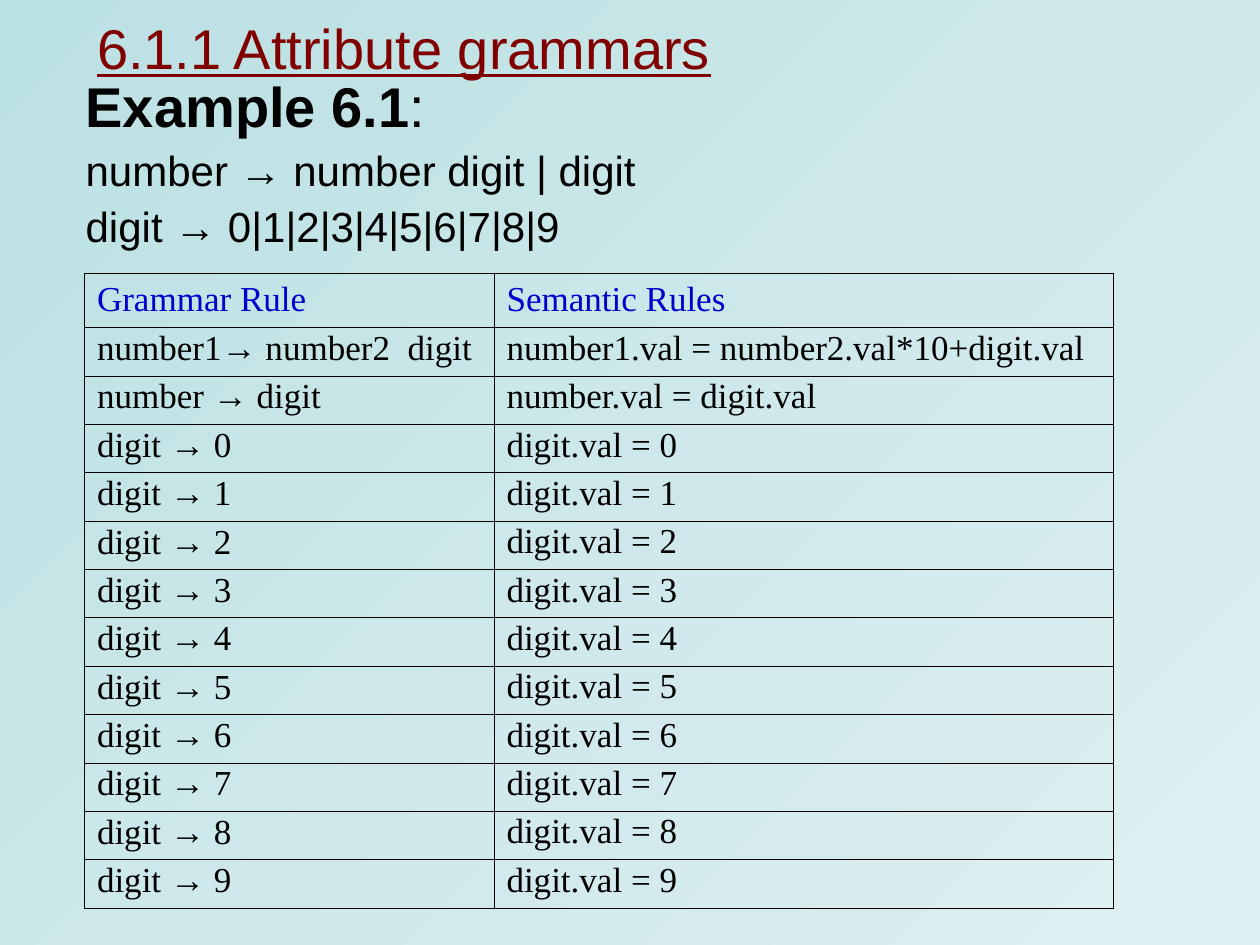
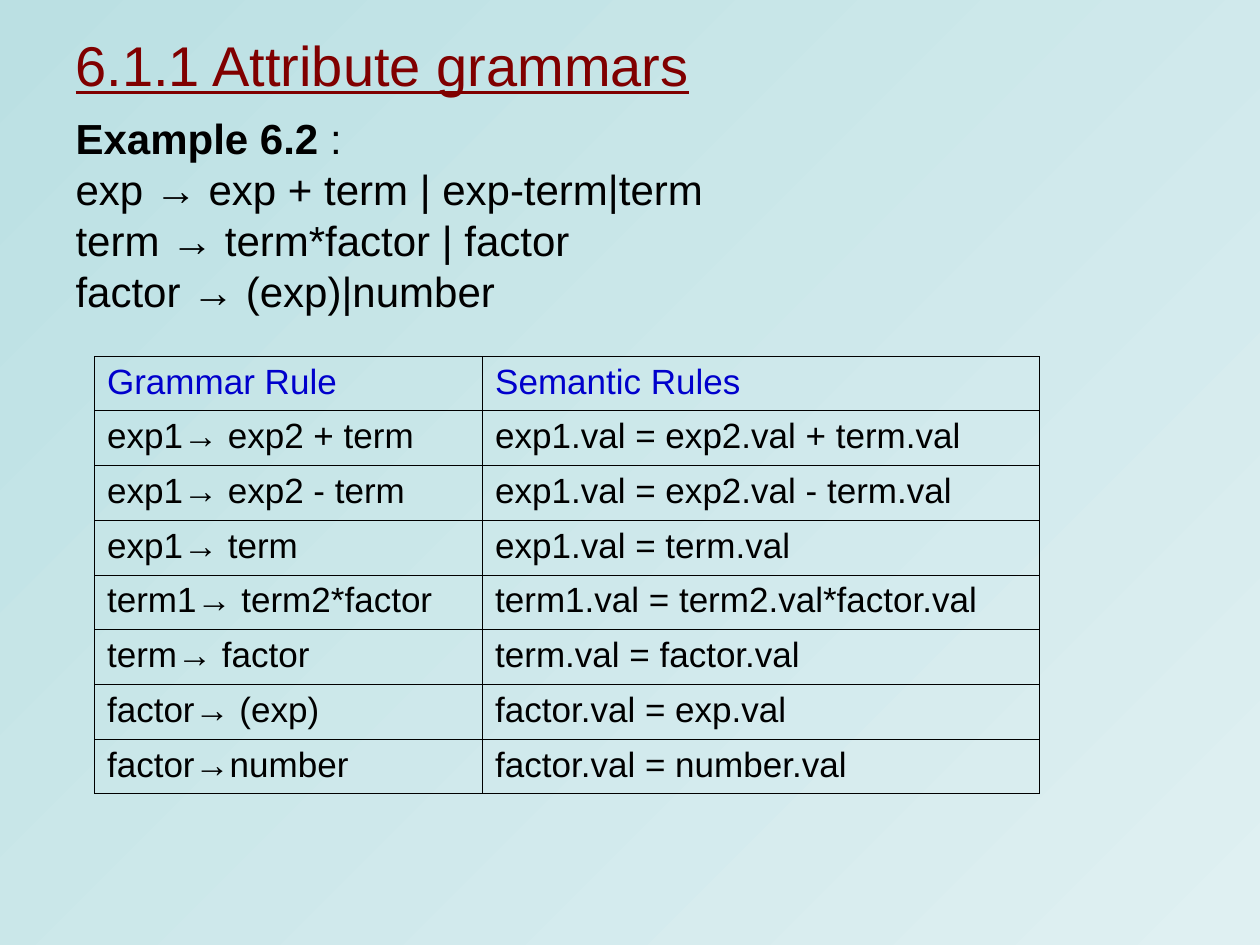
from lxml.etree import SubElement
from pptx import Presentation
from pptx.dml.color import RGBColor
from pptx.enum.text import MSO_ANCHOR, MSO_AUTO_SIZE, PP_ALIGN
from pptx.oxml.ns import qn
from pptx.util import Inches, Pt

# Shared look
HUES = {"start": "BBE0E3", "end": "DFF0F2", "title": "800000",
        "head": "0000CC", "text": "000000"}
SANS, SERIF = "Arial", "Times New Roman"
ARROW = "→"
TITLE = "6.1.1 Attribute grammars"
HEADS = ("Grammar Rule", "Semantic Rules")

# Content: boxes are left, top, width, height in inches
PAGES = [
    {
        "title box": (0.67, 0, 9.33, 0.75),
        "body box": (0.58, 0.58, 7.25, 1.5),
        "label": ("Example 6.1", ":"), "label size": 32, "label gap": 8,
        "lines": [("number → number digit | digit", PP_ALIGN.LEFT),
                  ("digit → 0|1|2|3|4|5|6|7|8|9", PP_ALIGN.LEFT)],
        "pitch": 0.9,
        "table box": (0.67, 2.17, 8.17, 5.04),
        "split": 3.25, "head": 0.43, "font": SERIF, "row pitch": 0.85,
        "rules": [("number1→ number2  digit",
                   "number1.val = number2.val*10+digit.val"),
                  ("number → digit", "number.val = digit.val")]
                 + [(f"digit → {n}", f"digit.val = {n}") for n in range(10)],
    },
    {
        "title box": (0.5, 0.17, 9.33, 0.67),
        "body box": (0.5, 0.92, 8.58, 1.67),
        "label": ("Example 6.2", " :"), "label size": 24, "label gap": 6,
        "lines": [("exp → exp + term | exp-term|term", PP_ALIGN.JUSTIFY),
                  ("term → term*factor | factor", PP_ALIGN.JUSTIFY),
                  ("factor → (exp)|number", PP_ALIGN.LEFT)],
        "pitch": 0.8,
        "table box": (0.75, 2.83, 7.5, 3.47),
        "split": 3.08, "head": 0.43, "font": SANS, "row pitch": None,
        "rules": [("exp1→ exp2 + term", "exp1.val = exp2.val + term.val"),
                  ("exp1→ exp2 - term", "exp1.val = exp2.val - term.val"),
                  ("exp1→ term", "exp1.val = term.val"),
                  ("term1→ term2*factor", "term1.val = term2.val*factor.val"),
                  ("term→ factor", "term.val = factor.val"),
                  ("factor→ (exp)", "factor.val = exp.val"),
                  ("factor→number", "factor.val = number.val")],
    },
]


def style(run, size, hue="text", font=SANS, bold=False):
    run.font.size = Pt(size)
    run.font.name = font
    run.font.bold = bold
    run.font.color.rgb = RGBColor.from_string(HUES[hue])


def place(shape, box):
    shape.left, shape.top, shape.width, shape.height = map(Inches, box)
    shape.text_frame.auto_size = MSO_AUTO_SIZE.NONE


def paint(master):
    """Give every slide the diagonal gradient."""
    fill = master.background.fill
    fill.gradient()
    fill.gradient_angle = 315
    for stop, hue in zip(fill.gradient_stops, ("start", "end")):
        stop.color.rgb = RGBColor.from_string(HUES[hue])


def add_title(slide, page):
    title = slide.shapes.title
    place(title, page["title box"])
    frame = title.text_frame
    frame.text = TITLE
    frame.vertical_anchor = MSO_ANCHOR.MIDDLE
    para = frame.paragraphs[0]
    para.alignment = PP_ALIGN.LEFT
    style(para.runs[0], 32, "title")
    para.runs[0].font.underline = True


def add_body(slide, page):
    body = slide.placeholders[1]
    place(body, page["body box"])
    frame = body.text_frame
    name, mark = page["label"]
    frame.text = "\n".join([name] + [text for text, _ in page["lines"]])
    label, *lines = frame.paragraphs

    for para in frame.paragraphs:
        para.line_spacing = page["pitch"]
        para.space_before = Pt(6)
        props = para._p.get_or_add_pPr()
        props.set("marL", str(Inches(0.5)))
        props.set("indent", str(Inches(-0.5)))
        SubElement(props, qn("a:buNone"))
    for para, (_, side) in zip(lines, page["lines"]):
        para.alignment = side
        style(para.runs[0], 24)

    label.space_before = Pt(page["label gap"])
    style(label.runs[0], page["label size"], bold=True)
    tail = label.add_run()
    tail.text = mark
    style(tail, page["label size"])


def frame_cell(cell):
    """Draw thin borders round a clear cell."""
    props = cell._tc.get_or_add_tcPr()
    for side in ("lnL", "lnR", "lnT", "lnB"):
        line = SubElement(props, qn(f"a:{side}"), w=str(Pt(0.45)))
        fill = SubElement(line, qn("a:solidFill"))
        SubElement(fill, qn("a:srgbClr"), val=HUES["text"])
    cell.fill.background()


def fill_cell(cell, text, hue, font, pitch):
    """Write the text, keeping each arrow in the sans font."""
    para = cell.text_frame.paragraphs[0]
    para.line_spacing = pitch
    left, arrow, right = text.partition(ARROW)
    for part in filter(None, (left, arrow, right)):
        run = para.add_run()
        run.text = part
        style(run, 20, hue, SANS if part == ARROW else font)


def add_rules(slide, page):
    rows = [HEADS] + page["rules"]
    box = page["table box"]
    _, _, width, height = box
    grid = slide.shapes.add_table(len(rows), 2, *map(Inches, box)).table
    grid.first_row = grid.horz_banding = False
    for col, span in zip(grid.columns, (page["split"], width - page["split"])):
        col.width = Inches(span)

    step = (height - page["head"]) / len(page["rules"])
    for i, texts in enumerate(rows):
        grid.rows[i].height = Inches(step if i else page["head"])
        for j, text in enumerate(texts):
            cell = grid.cell(i, j)
            frame_cell(cell)
            fill_cell(cell, text, "text" if i else "head", page["font"],
                      page["row pitch"] if i else None)


def main():
    deck = Presentation()
    deck.slide_width, deck.slide_height = Inches(10), Inches(7.5)
    paint(deck.slide_master)
    for page in PAGES:
        slide = deck.slides.add_slide(deck.slide_layouts[1])
        add_title(slide, page)
        add_body(slide, page)
        add_rules(slide, page)
    deck.save("out.pptx")


if __name__ == "__main__":
    main()
